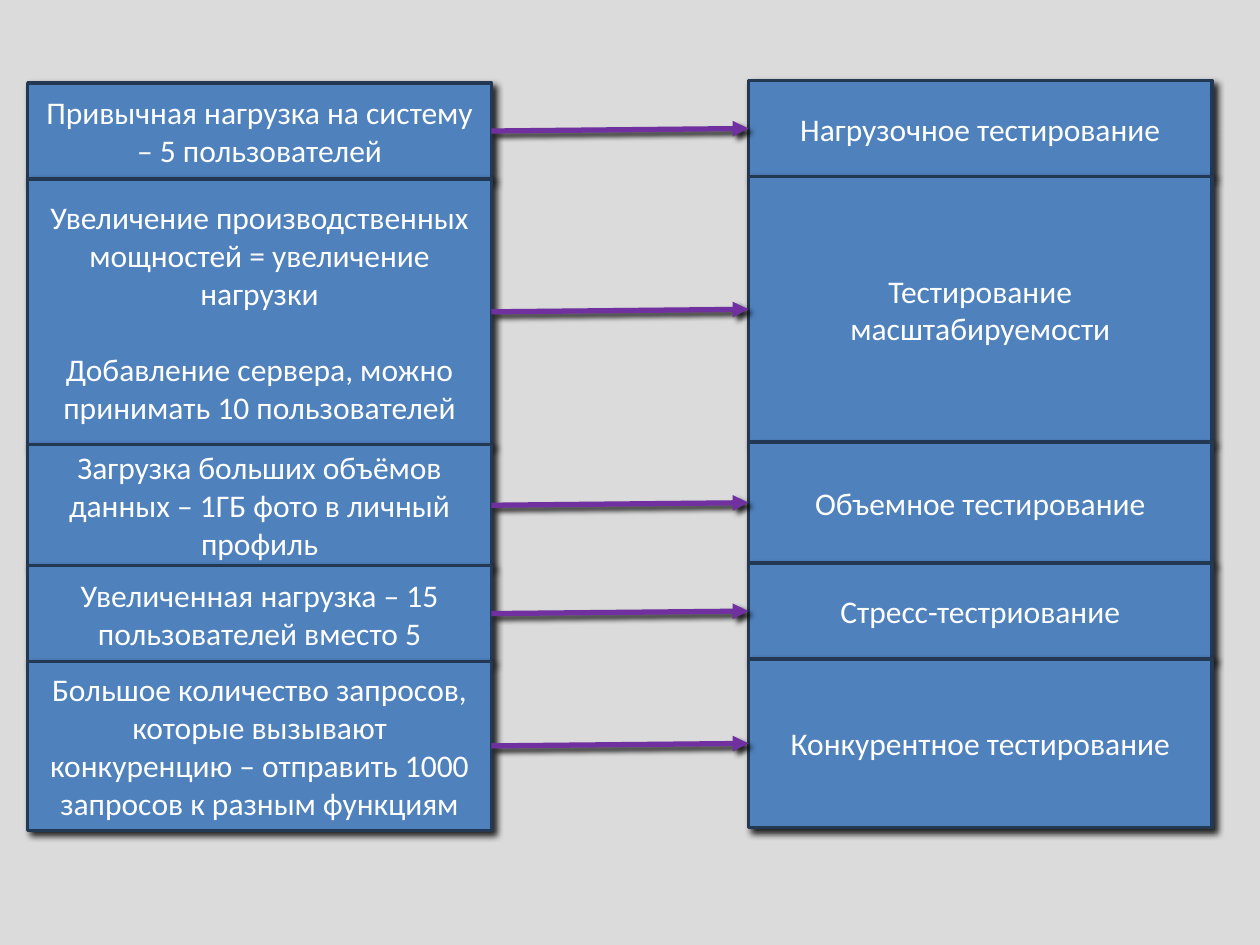
from lxml.etree import SubElement
from pptx import Presentation
from pptx.dml.color import RGBColor
from pptx.enum.shapes import MSO_CONNECTOR as CONN, MSO_SHAPE as SHAPE
from pptx.enum.text import MSO_ANCHOR as ANCHOR, PP_ALIGN as ALIGN
from pptx.oxml.ns import qn
from pptx.util import Inches, Pt

# Content: height of the row, example paragraphs, kind of testing
ROWS = [
    (0.76, ["Привычная нагрузка на систему – 5 пользователей"],
     "Нагрузочное тестирование"),
    (2.11, ["Увеличение производственных мощностей = увеличение нагрузки",
            "Добавление сервера, можно принимать 10 пользователей"],
     "Тестирование масштабируемости"),
    (0.96, ["Загрузка больших объёмов данных – 1ГБ фото в личный профиль"],
     "Объемное тестирование"),
    (0.76, ["Увеличенная нагрузка – 15 пользователей вместо 5"],
     "Стресс-тестриование"),
    (1.34, ["Большое количество запросов, которые вызывают конкуренцию"
            " – отправить 1000 запросов к разным функциям"],
     "Конкурентное тестирование"),
]
EXAMPLE_X, EXAMPLE_Y = 0.22, 0.66
KIND_X, KIND_Y = 5.94, 0.64
BOX_W = 3.68

GREY = RGBColor(0xDB, 0xDB, 0xDB)
BLUE = RGBColor(0x4F, 0x81, 0xBD)
NAVY = RGBColor(0x23, 0x39, 0x53)
PURPLE = RGBColor(0x70, 0x30, 0xA0)
WHITE = RGBColor(0xFF, 0xFF, 0xFF)


def add_shadow(shape, blur):
    """Add a black shadow falling to the lower right; blur is in points."""
    effects = SubElement(shape._element.spPr, qn("a:effectLst"))
    shadow = SubElement(effects, qn("a:outerShdw"), blurRad=str(Pt(blur)),
                        dist=str(Pt(3)), dir="2700000", algn="tl", rotWithShape="0")
    color = SubElement(shadow, qn("a:srgbClr"), val="000000")
    SubElement(color, qn("a:alpha"), val="84000")


def add_box(slide, x, y, h, paragraphs):
    sp = slide.shapes.add_shape(SHAPE.RECTANGLE, Inches(x), Inches(y),
                                Inches(BOX_W), Inches(h))
    sp.fill.solid()
    sp.fill.fore_color.rgb = BLUE
    sp.line.color.rgb = NAVY
    sp.line.width = Pt(2)
    add_shadow(sp, 4)
    tf = sp.text_frame
    tf.word_wrap = True
    tf.vertical_anchor = ANCHOR.MIDDLE
    for i, text in enumerate(paragraphs):
        p = tf.add_paragraph() if i else tf.paragraphs[0]
        p.alignment = ALIGN.CENTER
        if i:
            p.space_before = Pt(22)
        r = p.add_run()
        r.text = text
        r.font.name = "Calibri"
        r.font.size = Pt(18)
        r.font.color.rgb = WHITE
    return sp


def add_column(slide, x, y, texts):
    boxes = []
    for (h, _, _), paragraphs in zip(ROWS, texts):
        boxes.append(add_box(slide, x, y, h, paragraphs))
        y += h
    return boxes


def add_arrow(slide, start, end):
    arrow = slide.shapes.add_connector(CONN.STRAIGHT, 0, 0, 0, 0)
    arrow.begin_connect(start, 3)
    arrow.end_connect(end, 1)
    arrow.line.color.rgb = PURPLE
    arrow.line.width = Pt(3)
    SubElement(arrow.line._get_or_add_ln(), qn("a:tailEnd"), type="triangle")
    add_shadow(arrow, 3)


def main():
    prs = Presentation()
    prs.slide_width, prs.slide_height = Inches(10), Inches(7.5)
    slide = prs.slides.add_slide(prs.slide_layouts[6])
    slide.background.fill.solid()
    slide.background.fill.fore_color.rgb = GREY

    # Two columns of boxes
    examples = add_column(slide, EXAMPLE_X, EXAMPLE_Y, [row[1] for row in ROWS])
    kinds = add_column(slide, KIND_X, KIND_Y, [[row[2]] for row in ROWS])

    # An arrow from each example to its kind of testing
    for example, kind in zip(examples, kinds):
        add_arrow(slide, example, kind)

    prs.save("out.pptx")


if __name__ == "__main__":
    main()
